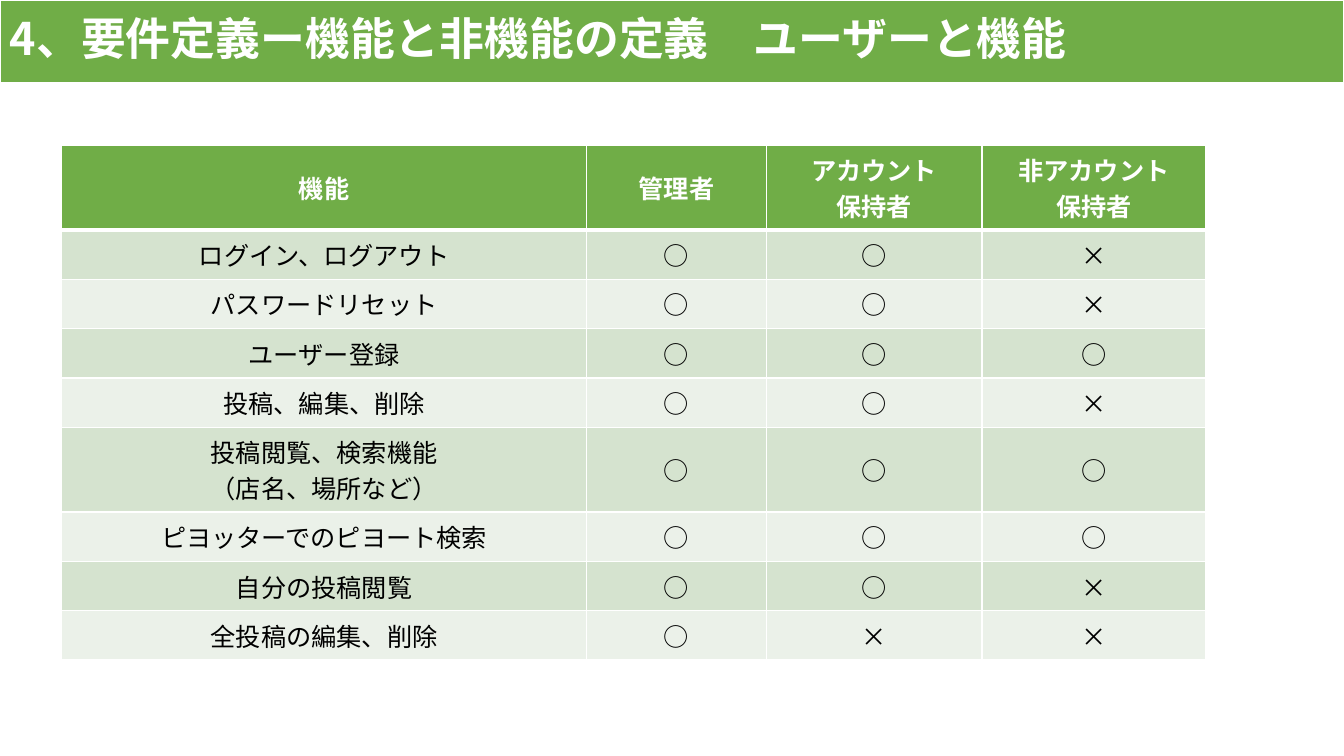
from dataclasses import dataclass

from pptx import Presentation
from pptx.dml.color import RGBColor as Rgb
from pptx.enum.shapes import MSO_SHAPE as Shape
from pptx.enum.text import MSO_ANCHOR as Anchor, PP_ALIGN as Align
from pptx.oxml.ns import qn
from pptx.util import Inches, Pt
from lxml.etree import SubElement

TITLE = "4、要件定義ー機能と非機能の定義　ユーザーと機能"
HEAD = ("機能", "管理者", "アカウント\n保持者", "非アカウント\n保持者")
ROWS = [
    ("ログイン、ログアウト", "○○×"),
    ("パスワードリセット", "○○×"),
    ("ユーザー登録", "○○○"),
    ("投稿、編集、削除", "○○×"),
    ("投稿閲覧、検索機能\n（店名、場所など）", "○○○"),
    ("ピヨッターでのピヨート検索", "○○○"),
    ("自分の投稿閲覧", "○○×"),
    ("全投稿の編集、削除", "○××"),
]
WIDTHS = (5.21, 1.78, 2.14, 2.22)
LOW, TALL = 0.49, 0.84  # row heights for one and two lines


@dataclass(frozen=True)
class Theme:
    font: str = "Noto Sans CJK JP"
    green: str = "70AD47"
    bands: tuple = ("D5E3CF", "EBF1E9")
    white: str = "FFFFFF"
    black: str = "000000"
    title: int = 32
    body: int = 18
    thin: int = 1
    thick: int = 3


theme = Theme()


def style(frame, size, color, bold, align):
    frame.vertical_anchor = Anchor.MIDDLE
    for para in frame.paragraphs:
        para.alignment = align
        for run in para.runs:
            font = run.font
            font.name, font.size, font.bold = theme.font, Pt(size), bold
            font.color.rgb = Rgb.from_string(color)
            east = SubElement(run._r.get_or_add_rPr(), qn("a:ea"))
            east.set("typeface", theme.font)


def paint(part, color):
    part.fill.solid()
    part.fill.fore_color.rgb = Rgb.from_string(color)


def edge(cell, **widths):
    """Draw white borders; the sides come in the order L, R, T, B."""
    props = cell._tc.get_or_add_tcPr()
    for spot, (side, width) in enumerate(widths.items()):
        line = SubElement(props, qn(f"a:ln{side}"), w=str(Pt(width)))
        fill = SubElement(line, qn("a:solidFill"))
        SubElement(fill, qn("a:srgbClr"), val=theme.white)
        props.insert(spot, line)


def add_title(slide, width):
    bar = slide.shapes.add_shape(Shape.RECTANGLE, 0, 0, width, Inches(0.82))
    bar.shadow.inherit = False
    paint(bar, theme.green)
    bar.line.color.rgb = Rgb.from_string(theme.white)
    bar.line.width = Pt(theme.thin)
    frame = bar.text_frame
    frame.text = TITLE
    style(frame, theme.title, theme.white, True, Align.LEFT)
    para = frame.paragraphs[0]
    para.line_spacing, para.space_before = 0.9, Pt(10)


def add_grid(slide):
    lines = [HEAD] + [(name, *marks) for name, marks in ROWS]
    highs = [TALL if any("\n" in text for text in line) else LOW
             for line in lines]
    grid = slide.shapes.add_table(
        len(lines), len(HEAD), Inches(0.61), Inches(1.44),
        Inches(sum(WIDTHS)), Inches(sum(highs))).table
    for col, width in zip(grid.columns, WIDTHS):
        col.width = Inches(width)
    for r, (line, high) in enumerate(zip(lines, highs)):
        grid.rows[r].height = Inches(high)
        top = r == 0
        back = theme.green if top else theme.bands[(r - 1) % 2]
        ink = theme.white if top else theme.black
        for c, text in enumerate(line):
            cell = grid.cell(r, c)
            cell.text_frame.text = text
            style(cell.text_frame, theme.body, ink, top, Align.CENTER)
            cell.vertical_anchor = Anchor.MIDDLE
            paint(cell, back)
            edge(cell, L=theme.thin, R=theme.thin,
                 T=theme.thick if r == 1 else theme.thin,
                 B=theme.thick if top else theme.thin)


def main():
    deck = Presentation()
    deck.slide_width, deck.slide_height = Inches(13.33), Inches(7.5)
    slide = deck.slides.add_slide(deck.slide_layouts[6])
    add_title(slide, deck.slide_width)
    add_grid(slide)
    deck.save("out.pptx")


if __name__ == "__main__":
    main()
